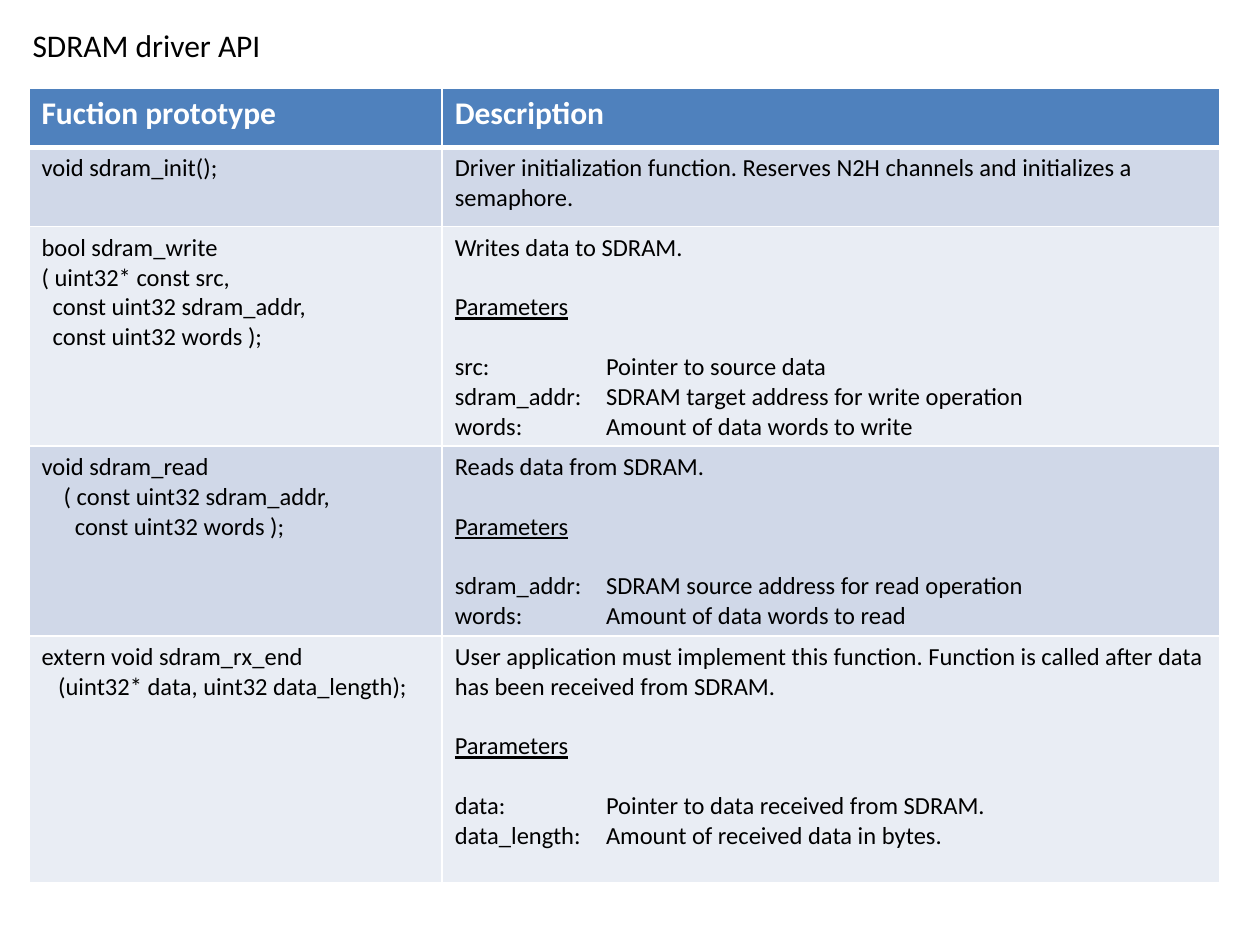
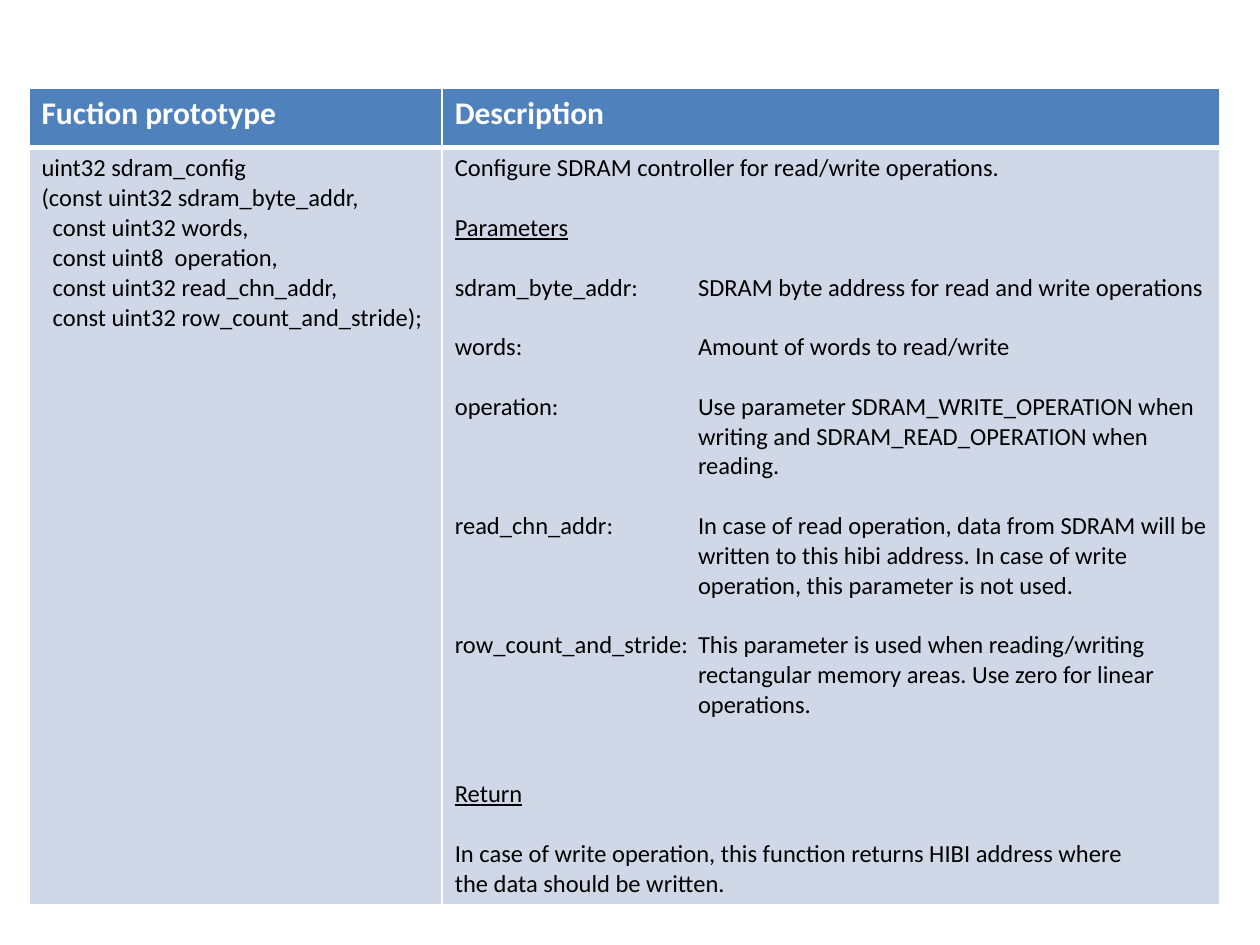
from dataclasses import dataclass

from lxml import etree
from pptx import Presentation
from pptx.dml.color import RGBColor
from pptx.oxml.ns import qn
from pptx.util import Inches, Pt

BLANK_LAYOUT = 6


@dataclass(frozen=True)
class Theme:
    font: str = "Calibri"
    heading_size: int = 18
    body_size: int = 14
    blank_line: int = 17
    text: str = "000000"
    white: str = "FFFFFF"
    header_fill: str = "4F81BD"
    band_fills: tuple = ("D0D8E8", "E9EDF4")
    thin_border: float = 1
    header_border: float = 3


THEME = Theme()
TITLE_FORMAT = {"size": Pt(THEME.heading_size), "bold": False}
HEADER_FORMAT = {"size": Pt(THEME.heading_size), "bold": True}
BODY_FORMAT = {"size": Pt(THEME.body_size), "bold": False}

TABLE_LEFT, TABLE_TOP = 0.23, 0.7
COLUMN_WIDTHS = (3.28, 6.17)
HEADER_HEIGHT = 0.47
CODE_SPACE = 0.044
HEADERS = ("Fuction prototype", "Description")
SECTION_NAMES = ("Parameters", "Return")

# Each function: row height, prototype lines, description lines.
# An empty line stands for a gap; a tab leads to the parameter column.
DRIVER_FUNCTIONS = [
    (0.63,
     ["void sdram_init();"],
     ["Driver initialization function. Reserves N2H channels and "
      "initializes a semaphore."]),
    (1.74,
     ["bool sdram_write",
      "( uint32* const src,",
      "  const uint32 sdram_addr,",
      "  const uint32 words );"],
     ["Writes data to SDRAM.", "", "Parameters", "",
      "src:\tPointer to source data",
      "sdram_addr:\tSDRAM target address for write operation",
      "words:\tAmount of data words to write"]),
    (1.5,
     ["void sdram_read",
      "    ( const uint32 sdram_addr,",
      "      const uint32 words );"],
     ["Reads data from SDRAM.", "", "Parameters", "",
      "sdram_addr:\tSDRAM source address for read operation",
      "words:\tAmount of data words to read"]),
    (1.96,
     ["extern void sdram_rx_end",
      "   (uint32* data, uint32 data_length);"],
     ["User application must implement this function. Function is called "
      "after data has been received from SDRAM.", "", "Parameters", "",
      "data:\tPointer to data received from SDRAM.",
      "data_length:\tAmount of received data in bytes."]),
]

CONFIG_FUNCTION = [
    (6.01,
     ["uint32 sdram_config",
      "(const uint32 sdram_byte_addr,",
      "  const uint32 words,",
      "  const uint8  operation,",
      "  const uint32 read_chn_addr,",
      "  const uint32 row_count_and_stride);"],
     ["Configure SDRAM controller for read/write operations.", "",
      "Parameters", "",
      "sdram_byte_addr:\tSDRAM byte address for read and write operations", "",
      "words:\tAmount of words to read/write", "",
      "operation:\tUse parameter SDRAM_WRITE_OPERATION when",
      "\twriting and SDRAM_READ_OPERATION when",
      "\treading.", "",
      "read_chn_addr:\tIn case of read operation, data from SDRAM will be",
      "\twritten to this hibi address. In case of write",
      "\toperation, this parameter is not used.", "",
      "row_count_and_stride:\tThis parameter is used when reading/writing",
      "\trectangular memory areas. Use zero for linear",
      "\toperations.", "", "",
      "Return", "",
      "In case of write operation, this function returns HIBI address where",
      "the data should be written."]),
]


def add_run(paragraph, text, color, font_format):
    run = paragraph.add_run()
    run.text = text
    run.font.name = THEME.font
    run.font.color.rgb = RGBColor.from_string(color)
    for name, value in font_format.items():
        setattr(run.font, name, value)


def set_tab_stop(paragraph, position):
    tab_list = etree.SubElement(paragraph._p.get_or_add_pPr(), qn("a:tabLst"))
    etree.SubElement(tab_list, qn("a:tab"), pos=str(Inches(position)), algn="l")


def write_lines(text_frame, lines, color, font_format, tab_position=None):
    """Write one paragraph a line; leading spaces become a left indent."""
    gaps = 0
    paragraph = None
    for line in lines:
        if not line:
            gaps += 1
            continue
        paragraph = text_frame.add_paragraph() if paragraph else text_frame.paragraphs[0]
        if gaps:
            paragraph.space_before = Pt(gaps * THEME.blank_line)
            gaps = 0
        content = line.lstrip(" ")
        indent = Inches(CODE_SPACE * (len(line) - len(content)))
        if indent:
            paragraph._p.get_or_add_pPr().set("marL", str(indent))
        if "\t" in content:
            set_tab_stop(paragraph, tab_position)
        add_run(paragraph, content, color,
                {**font_format, "underline": content in SECTION_NAMES})


def set_borders(cell, top, bottom):
    properties = cell._tc.get_or_add_tcPr()
    thin = THEME.thin_border
    for side, width in (("L", thin), ("R", thin), ("T", top), ("B", bottom)):
        line = etree.SubElement(properties, qn(f"a:ln{side}"), w=str(Pt(width)))
        fill = etree.SubElement(line, qn("a:solidFill"))
        etree.SubElement(fill, qn("a:srgbClr"), val=THEME.white)


def fill_cell(cell, color):
    cell.fill.solid()
    cell.fill.fore_color.rgb = RGBColor.from_string(color)


def add_title(slide, text):
    box = slide.shapes.add_textbox(Inches(0.16), Inches(0.16), Inches(8.52), Inches(0.4))
    box.text_frame.word_wrap = True
    write_lines(box.text_frame, [text], THEME.text, TITLE_FORMAT)


def add_function_table(slide, functions, tab_position):
    heights = [HEADER_HEIGHT] + [height for height, _, _ in functions]
    table = slide.shapes.add_table(
        len(heights), len(COLUMN_WIDTHS), Inches(TABLE_LEFT), Inches(TABLE_TOP),
        Inches(sum(COLUMN_WIDTHS)), Inches(sum(heights))).table
    for column, width in zip(table.columns, COLUMN_WIDTHS):
        column.width = Inches(width)
    for row, height in zip(table.rows, heights):
        row.height = Inches(height)

    for cell, header in zip(table.rows[0].cells, HEADERS):
        set_borders(cell, THEME.thin_border, THEME.header_border)
        fill_cell(cell, THEME.header_fill)
        write_lines(cell.text_frame, [header], THEME.white, HEADER_FORMAT)

    for index, (_, prototype, description) in enumerate(functions):
        top = THEME.thin_border if index else THEME.header_border
        for cell, lines in zip(table.rows[index + 1].cells, (prototype, description)):
            set_borders(cell, top, THEME.thin_border)
            fill_cell(cell, THEME.band_fills[index % 2])
            write_lines(cell.text_frame, lines, THEME.text, BODY_FORMAT, tab_position)


def main():
    presentation = Presentation()
    presentation.slide_width = Inches(10)
    presentation.slide_height = Inches(7.5)
    layout = presentation.slide_layouts[BLANK_LAYOUT]

    driver_slide = presentation.slides.add_slide(layout)
    add_title(driver_slide, "SDRAM driver API")
    add_function_table(driver_slide, DRIVER_FUNCTIONS, tab_position=1.2)

    config_slide = presentation.slides.add_slide(layout)
    add_function_table(config_slide, CONFIG_FUNCTION, tab_position=1.93)

    presentation.save("out.pptx")


if __name__ == "__main__":
    main()
